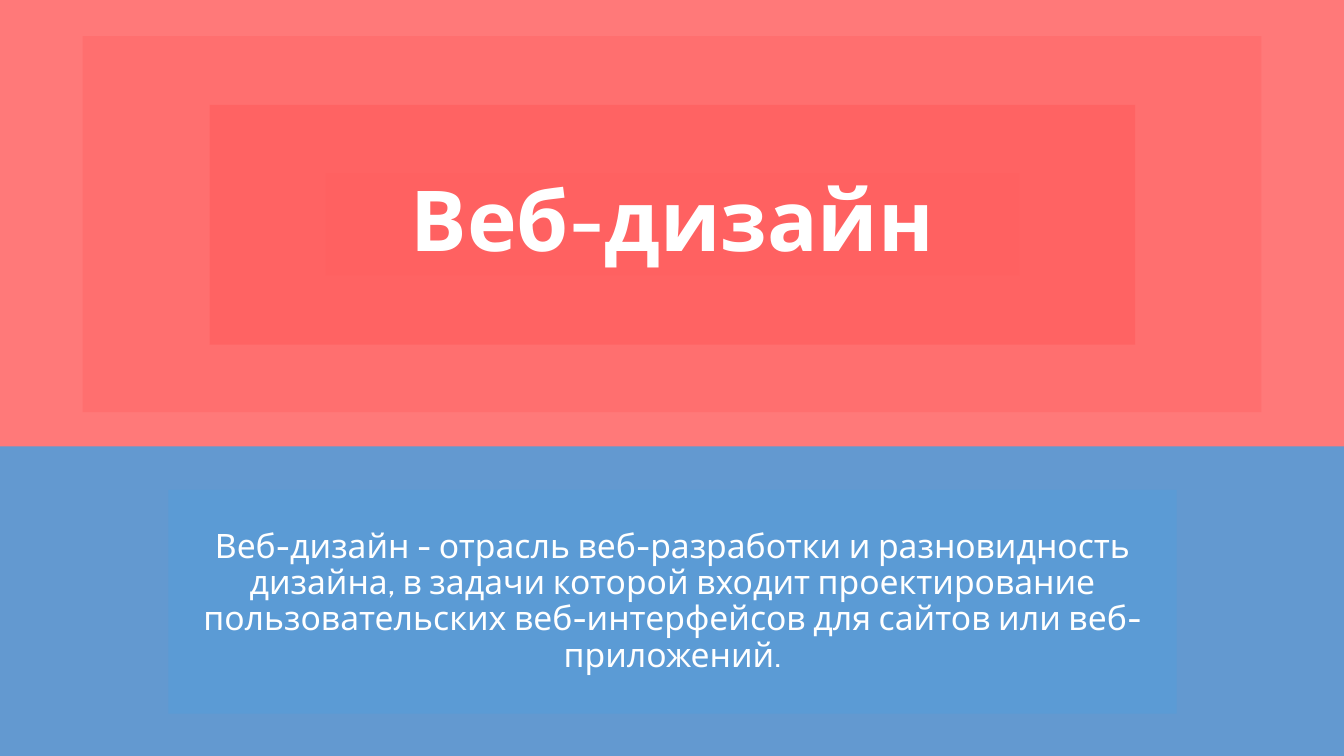
from dataclasses import dataclass

from lxml import etree
from pptx import Presentation
from pptx.dml.color import RGBColor
from pptx.dml.fill import FillFormat
from pptx.enum import shapes, text
from pptx.oxml import ns
from pptx.util import Inches, Pt

CORAL = RGBColor(0xFF, 0x61, 0x61)
PALE_CORAL = RGBColor(0xFF, 0x79, 0x79)
BLUE = RGBColor(0x5B, 0x9B, 0xD5)
WHITE = RGBColor(0xFF, 0xFF, 0xFF)
FONT = "Cabin"


@dataclass
class Panel:
    left: float
    top: float
    width: float
    height: float
    color: RGBColor
    opacity: int = 100  # percent


@dataclass
class Caption:
    panel: Panel
    wording: str
    size: int
    bold: bool = False
    space_before: int = 0


PANELS = [
    Panel(0.82, 0.36, 11.69, 3.73, CORAL, 40),
    Panel(2.08, 1.04, 9.18, 2.38, CORAL, 80),
    Panel(0, 4.43, 13.33, 3.07, BLUE, 95),
]
HEADING = Caption(Panel(3.23, 1.72, 6.88, 1.01, CORAL, 80), "Веб-дизайн", 60, bold=True)
DEFINITION = Caption(
    Panel(1.67, 4.86, 10, 2.22, BLUE),
    "Веб-дизайн - отрасль веб-разработки и разновидность дизайна, "
    "в задачи которой входит проектирование пользовательских "
    "веб-интерфейсов для сайтов или веб-приложений.",
    24,
    space_before=10,
)


def paint(fill: FillFormat, shape_properties, panel: Panel) -> None:
    fill.solid()
    fill.fore_color.rgb = panel.color
    if panel.opacity < 100:
        color = shape_properties.find(ns.qn("a:solidFill"))[0]
        etree.SubElement(color, ns.qn("a:alpha"), val=str(panel.opacity * 1000))


def draw_panel(slide, panel: Panel) -> None:
    box = slide.shapes.add_shape(
        shapes.MSO_SHAPE.RECTANGLE,
        *map(Inches, (panel.left, panel.top, panel.width, panel.height)),
    )
    box.shadow.inherit = False
    box.line.fill.background()
    paint(box.fill, box.element.spPr, panel)


def fill_caption(slide, holder, caption: Caption) -> None:
    panel = caption.panel
    holder.left, holder.top = Inches(panel.left), Inches(panel.top)
    holder.width, holder.height = Inches(panel.width), Inches(panel.height)
    paint(holder.fill, holder.element.spPr, panel)

    frame = holder.text_frame
    frame.text = caption.wording
    frame.word_wrap = True
    frame.auto_size = text.MSO_AUTO_SIZE.NONE
    frame.vertical_anchor = text.MSO_ANCHOR.MIDDLE
    paragraph = frame.paragraphs[0]
    paragraph.alignment = text.PP_ALIGN.CENTER
    paragraph.line_spacing = 0.9
    paragraph.space_before = Pt(caption.space_before)
    paragraph.font.name = FONT
    paragraph.font.size = Pt(caption.size)
    paragraph.font.bold = caption.bold
    paragraph.font.color.rgb = WHITE

    # Bring the caption in front of the panels
    slide.shapes.element.append(holder.element)


def main() -> None:
    deck = Presentation()
    deck.slide_width, deck.slide_height = Inches(13.33), Inches(7.5)
    slide = deck.slides.add_slide(deck.slide_layouts[0])

    # Background
    slide.background.fill.solid()
    slide.background.fill.fore_color.rgb = PALE_CORAL

    # Nested coral frames and the blue band
    for panel in PANELS:
        draw_panel(slide, panel)

    # Title and definition
    fill_caption(slide, slide.shapes.title, HEADING)
    fill_caption(slide, slide.placeholders[1], DEFINITION)

    deck.save("out.pptx")


if __name__ == "__main__":
    main()
